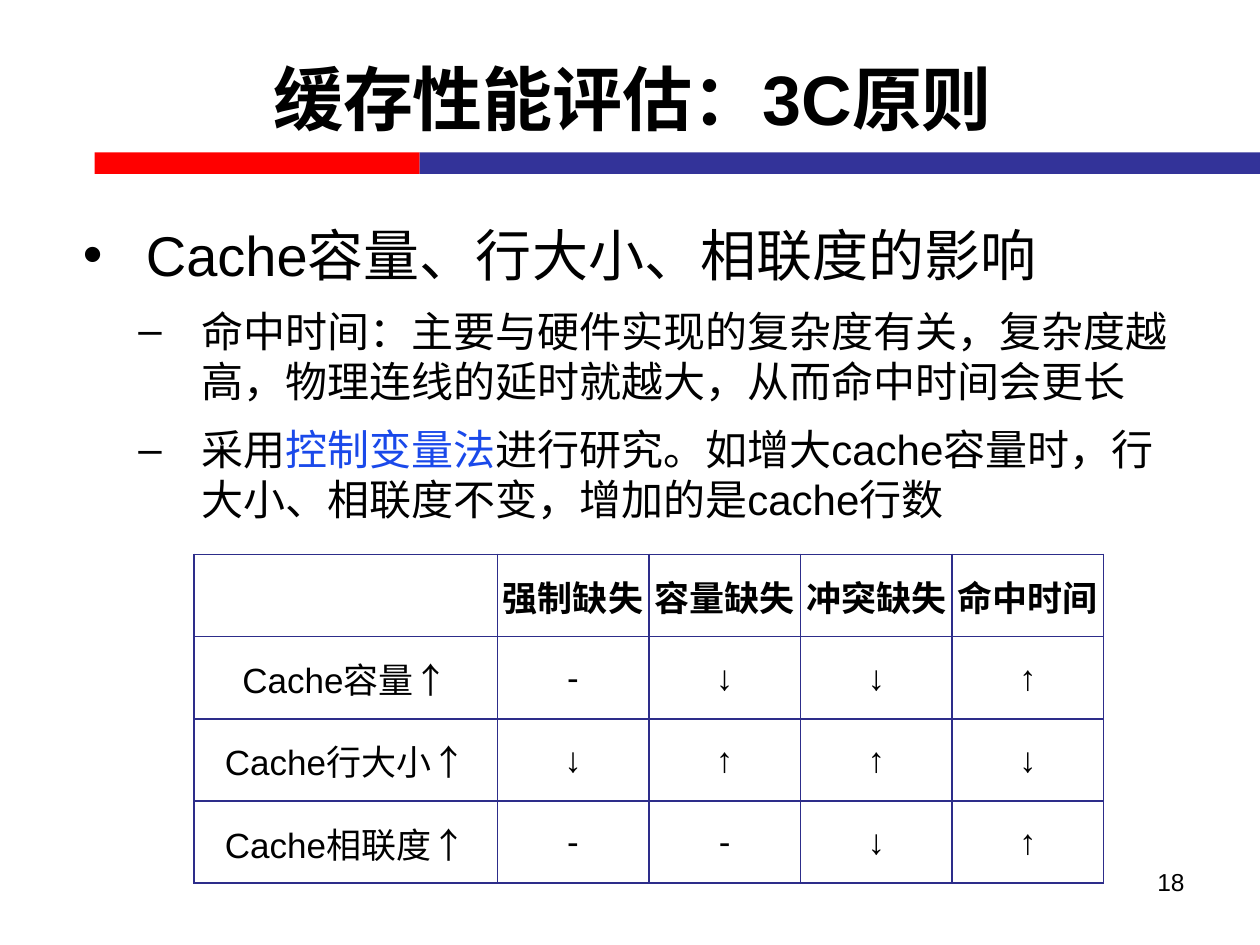
from lxml import etree
from pptx import Presentation
from pptx.dml.color import RGBColor as Rgb
from pptx.enum.shapes import MSO_SHAPE as Kind
from pptx.enum.text import MSO_ANCHOR as Anchor, PP_ALIGN as Align
from pptx.oxml.ns import qn
from pptx.util import Inches, Pt

HUES = {"text": "000000", "red": "FF0000", "navy": "333399",
        "grid": "2D2D8A", "key": "1A49EA"}


class Page:
    def __init__(self, slide, font):
        self.slide = slide
        self.font = font

    def bar(self, left, top, wide, high, hue):
        box = self.slide.shapes.add_shape(
            Kind.RECTANGLE, *map(Inches, (left, top, wide, high)))
        box.shadow.inherit = False
        box.fill.solid()
        box.fill.fore_color.rgb = Rgb.from_string(HUES[hue])
        box.line.fill.background()

    def run(self, para, text, size, bold=False, hue="text"):
        run = para.add_run()
        run.text = text
        run.font.name = self.font
        run.font.size = Pt(size)
        run.font.bold = bold
        run.font.color.rgb = Rgb.from_string(HUES[hue])

    def box(self, left, top, wide, high, anchor=Anchor.TOP):
        frame = self.slide.shapes.add_textbox(
            *map(Inches, (left, top, wide, high))).text_frame
        frame.word_wrap = True
        frame.vertical_anchor = anchor
        return frame

    def label(self, place, text, size, align, **style):
        para = self.box(*place).paragraphs[0]
        para.alignment = align
        self.run(para, text, size, **style)

    def bullets(self, place, items):
        """Each item is a level, a size and a list of (text, hue) runs."""
        frame = self.box(*place)
        for i, (level, size, runs) in enumerate(items):
            para = frame.add_paragraph() if i else frame.paragraphs[0]
            para.level = level
            if i:
                para.space_before = Pt(10)
            props = para._p.get_or_add_pPr()
            props.set("marL", str(Inches((0.56, 1)[level])))
            props.set("indent", str(Inches(-0.5)))
            etree.SubElement(props, qn("a:buFont"), typeface=self.font)
            etree.SubElement(props, qn("a:buChar"), char="•–"[level])
            for text, hue in runs:
                self.run(para, text, size, hue=hue)

    def edge(self, cell, width):
        props = cell._tc.get_or_add_tcPr()
        for i, side in enumerate(("lnL", "lnR", "lnT", "lnB")):
            line = etree.Element(qn("a:" + side), w=str(Pt(width)))
            fill = etree.SubElement(line, qn("a:solidFill"))
            etree.SubElement(fill, qn("a:srgbClr"), val=HUES["grid"])
            props.insert(i, line)

    def table(self, place, rows, shares, size):
        """Column widths follow shares; the first row is bold."""
        left, top, wide, high = place
        table = self.slide.shapes.add_table(
            len(rows), len(shares), *map(Inches, place)).table
        for col, share in zip(table.columns, shares):
            col.width = Inches(wide * share / sum(shares))
        for r, row in enumerate(rows):
            table.rows[r].height = Inches(high / len(rows))
            for c, text in enumerate(row):
                cell = table.cell(r, c)
                cell.fill.background()
                self.edge(cell, 1)
                cell.vertical_anchor = Anchor.MIDDLE
                cell.margin_left = cell.margin_right = Inches(0.01)
                cell.margin_top, cell.margin_bottom = Inches(0.01), 0
                para = cell.text_frame.paragraphs[0]
                para.alignment = Align.CENTER
                if text:
                    self.run(para, text, size, bold=r == 0)


def main():
    deck = Presentation()
    deck.slide_width, deck.slide_height = Inches(10), Inches(7.5)
    page = Page(deck.slides.add_slide(deck.slide_layouts[6]), "Arial")

    page.bar(0.75, 1.21, 2.58, 0.17, "red")
    page.bar(3.33, 1.21, 6.67, 0.17, "navy")
    page.label((0.16, 0.15, 9.72, 1.25, Anchor.MIDDLE),
               "缓存性能评估：3C原则", 40, Align.CENTER, bold=True)
    page.label((7.17, 6.83, 2.33, 0.52), "18", 14, Align.RIGHT)
    page.table((1.54, 4.4, 7.22, 2.61), [
        ("", "强制缺失", "容量缺失", "冲突缺失", "命中时间"),
        ("Cache容量↑", "-", "↓", "↓", "↑"),
        ("Cache行大小↑", "↓", "↑", "↑", "↓"),
        ("Cache相联度↑", "-", "-", "↓", "↑"),
    ], (2, 1, 1, 1, 1), 20)
    page.bullets((0.5, 1.7, 9, 2.47), [
        (0, 32, [("Cache容量、行大小、相联度的影响", "text")]),
        (1, 24, [("命中时间：主要与硬件实现的复杂度有关，复杂度越高，"
                  "物理连线的延时就越大，从而命中时间会更长", "text")]),
        (1, 24, [("采用", "text"), ("控制变量法", "key"),
                 ("进行研究。如增大cache容量时，行大小、相联度不变，"
                  "增加的是cache行数", "text")]),
    ])
    deck.save("out.pptx")


if __name__ == "__main__":
    main()
